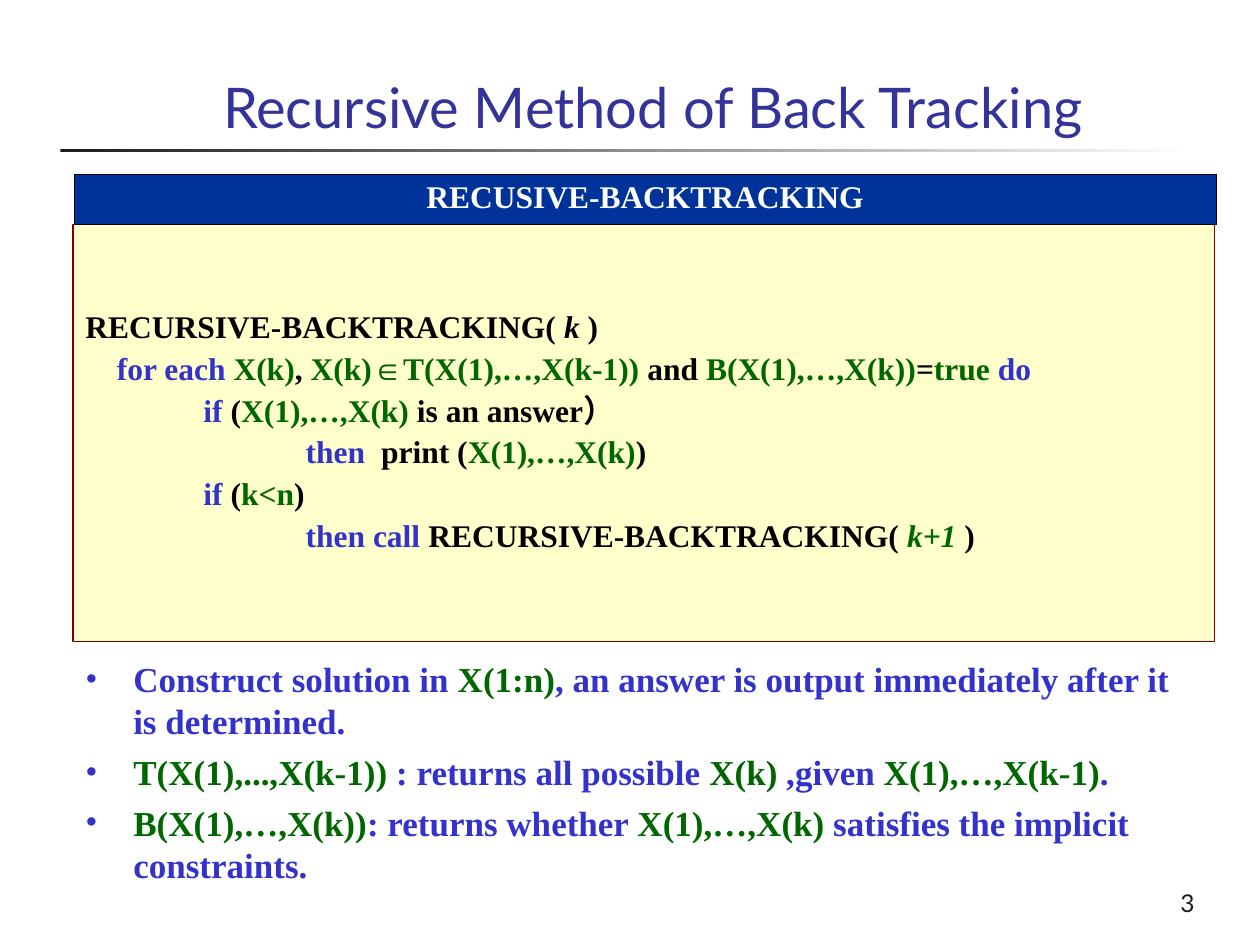
from lxml import etree
from pptx import Presentation
from pptx.dml.color import RGBColor
from pptx.enum.shapes import MSO_SHAPE
from pptx.enum.text import MSO_ANCHOR, PP_ALIGN
from pptx.oxml.ns import qn
from pptx.util import Inches, Pt

RECTANGLE = MSO_SHAPE.RECTANGLE
BOTTOM, MIDDLE, TOP = MSO_ANCHOR.BOTTOM, MSO_ANCHOR.MIDDLE, MSO_ANCHOR.TOP
LEFT, CENTER, RIGHT = PP_ALIGN.LEFT, PP_ALIGN.CENTER, PP_ALIGN.RIGHT

COLORS = {
    "title": "333399",
    "dark": "1C1C1C",
    "white": "FFFFFF",
    "plain": "000000",
    "keyword": "3333CC",
    "value": "006600",
    "header": "003399",
    "panel": "FFFFCC",
    "panel_line": "800000",
}
SANS, SERIF = "Lato", "Times New Roman"
CODE_FONT = {"name": SERIF, "size": Pt(18), "bold": True}
BULLET_FONT = {"name": SERIF, "size": Pt(20), "bold": True}
CODE_PARA = {"alignment": LEFT, "line_spacing": 0.9}
STEP, DEEP_STEP = " " * 15, " " * 28

CODE = [
    [("RECURSIVE-BACKTRACKING( ", "plain"), ("k", "plain", True), (" )", "plain")],
    [("    for each ", "keyword"), ("X(k)", "value"), (", ", "plain"),
     ("X(k)∈T(X(1),…,X(k-1))", "value"), (" and ", "plain"),
     ("B(X(1),…,X(k))", "value"), ("=", "plain"), ("true ", "value"),
     ("do", "keyword")],
    [(STEP + "if", "keyword"), (" (", "plain"), ("X(1),…,X(k)", "value"),
     (" is an answer）", "plain")],
    [(DEEP_STEP + "then", "keyword"), ("  print (", "plain"),
     ("X(1),…,X(k)", "value"), (")", "plain")],
    [(STEP + "if", "keyword"), (" (", "plain"), ("k<n", "value"), (")", "plain")],
    [(DEEP_STEP + "then call ", "keyword"), ("RECURSIVE-BACKTRACKING( ", "plain"),
     ("k+1", "value", True), (" )", "plain")],
]
BULLETS = [
    [("Construct solution in ", "keyword"), ("X(1:n)", "value"),
     (", an answer is output immediately after it is determined.", "keyword")],
    [("T(X(1),...,X(k-1))", "value"), (" : returns all possible ", "keyword"),
     ("X(k)", "value"), (" ,given ", "keyword"), ("X(1),…,X(k-1)", "value"),
     (".", "keyword")],
    [("B(X(1),…,X(k))", "value"), (": returns whether ", "keyword"),
     ("X(1),…,X(k)", "value"), (" satisfies the implicit constraints.", "keyword")],
]


def rgb(name):
    return RGBColor.from_string(COLORS[name])


def inches(*lengths):
    return [Inches(length) for length in lengths]


def set_values(target, values):
    for name, value in values.items():
        setattr(target, name, value)


def add_bullet(para):
    props = para._p.get_or_add_pPr()
    props.set("marL", str(Inches(0.38)))
    props.set("indent", str(-Inches(0.38)))
    color = etree.SubElement(props, qn("a:buClr"))
    etree.SubElement(color, qn("a:srgbClr"), val=COLORS["keyword"])
    etree.SubElement(props, qn("a:buFont"), typeface=SERIF)
    etree.SubElement(props, qn("a:buChar"), char="•")


def write(frame, lines, font, para_format, anchor=TOP, gap=0, bullets=False):
    set_values(frame, {"word_wrap": True, "vertical_anchor": anchor})
    for index, line in enumerate(lines):
        para = frame.add_paragraph() if index else frame.paragraphs[0]
        if bullets:
            add_bullet(para)
        set_values(para, para_format)
        para.space_before = Pt(gap if index else 0)
        for text, color, *italic in line:
            span = para.add_run()
            span.text = text
            set_values(span.font, font)
            span.font.color.rgb = rgb(color)
            if italic:
                span.font.italic = True


def add_title(page, text):
    title = page.shapes.title
    title.left, title.top, title.width, title.height = inches(1.67, 0.17, 7.86, 0.99)
    write(title.text_frame, [[(text, "title")]], {"name": SANS, "size": Pt(32)},
          {"alignment": LEFT}, BOTTOM)


def add_rule(page):
    rule = page.shapes.add_shape(RECTANGLE, *inches(0.48, 1.18, 9, 0.03))
    rule.shadow.inherit = False
    rule.line.fill.background()
    rule.fill.gradient()
    rule.fill.gradient_angle = 0
    for stop, color in zip(rule.fill.gradient_stops, ("dark", "white")):
        stop.color.rgb = rgb(color)


def add_code_panel(page):
    panel = page.shapes.add_shape(RECTANGLE, *inches(0.58, 1.78, 9.06, 3.31))
    panel.shadow.inherit = False
    panel.fill.solid()
    panel.fill.fore_color.rgb = rgb("panel")
    panel.line.color.rgb = rgb("panel_line")
    panel.line.width = Pt(0.75)
    write(panel.text_frame, CODE, CODE_FONT, CODE_PARA, MIDDLE, 4.5)


def add_borders(cell):
    props = cell._tc.get_or_add_tcPr()
    for index, side in enumerate(("lnL", "lnR", "lnT", "lnB")):
        line = etree.Element(qn("a:" + side), w=str(Pt(0.45)))
        fill = etree.SubElement(line, qn("a:solidFill"))
        etree.SubElement(fill, qn("a:srgbClr"), val=COLORS["plain"])
        props.insert(index, line)


def add_header_table(page, text):
    table = page.shapes.add_table(1, 1, *inches(0.59, 1.38, 9.06, 0.4)).table
    cell = table.cell(0, 0)
    cell.fill.solid()
    cell.fill.fore_color.rgb = rgb("header")
    add_borders(cell)
    write(cell.text_frame, [[(text, "white")]], CODE_FONT, {"alignment": CENTER})


def add_text(page, place, lines, font, para_format, **options):
    box = page.shapes.add_textbox(*inches(*place))
    write(box.text_frame, lines, font, para_format, **options)


def main():
    deck = Presentation()
    deck.slide_width, deck.slide_height = inches(10, 7.5)
    page = deck.slides.add_slide(deck.slide_layouts[5])
    add_rule(page)
    add_text(page, (7.5, 6.83, 2.08, 0.5), [[("3", "dark")]],
             {"name": SANS, "size": Pt(14)}, {"alignment": RIGHT}, anchor=BOTTOM)
    add_title(page, "Recursive Method of Back Tracking")
    add_code_panel(page)
    add_header_table(page, "RECUSIVE-BACKTRACKING")
    add_text(page, (0.58, 5.17, 9, 1.97), BULLETS, BULLET_FONT,
             {"alignment": LEFT}, gap=5, bullets=True)
    deck.save("out.pptx")


if __name__ == "__main__":
    main()
